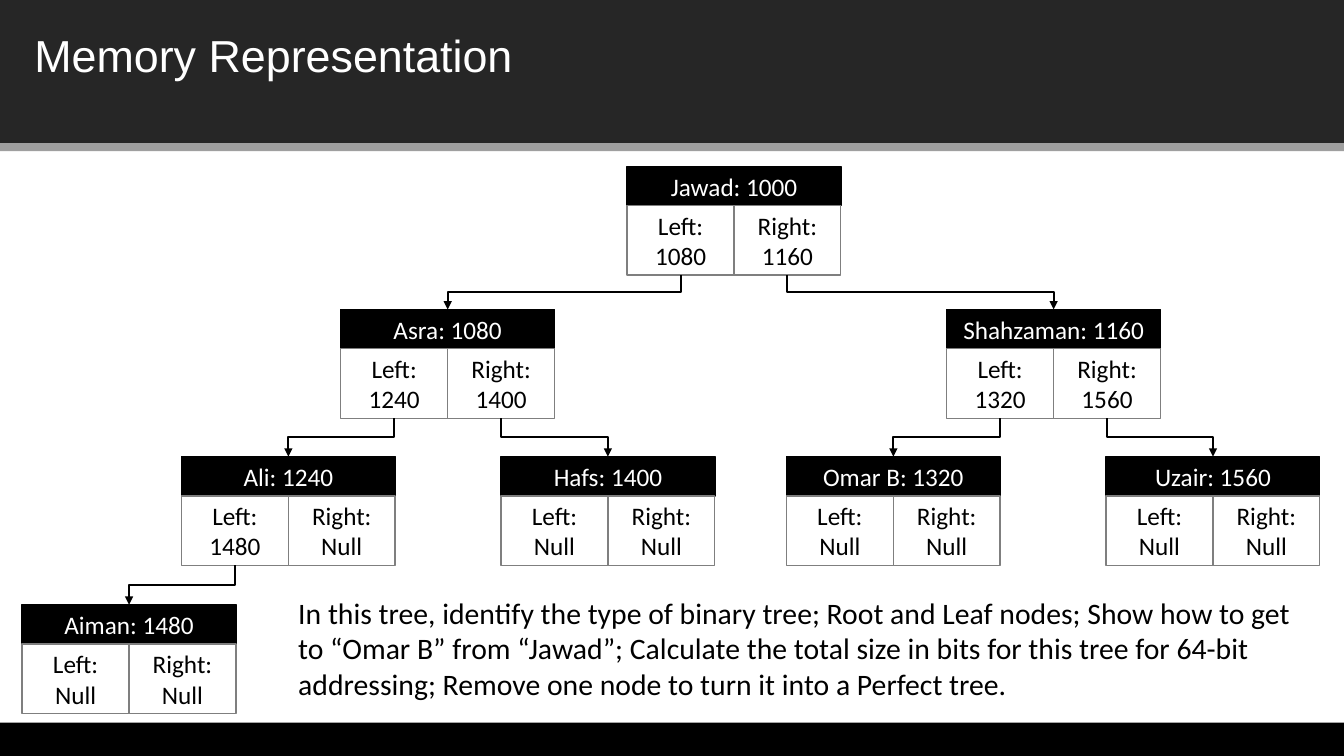
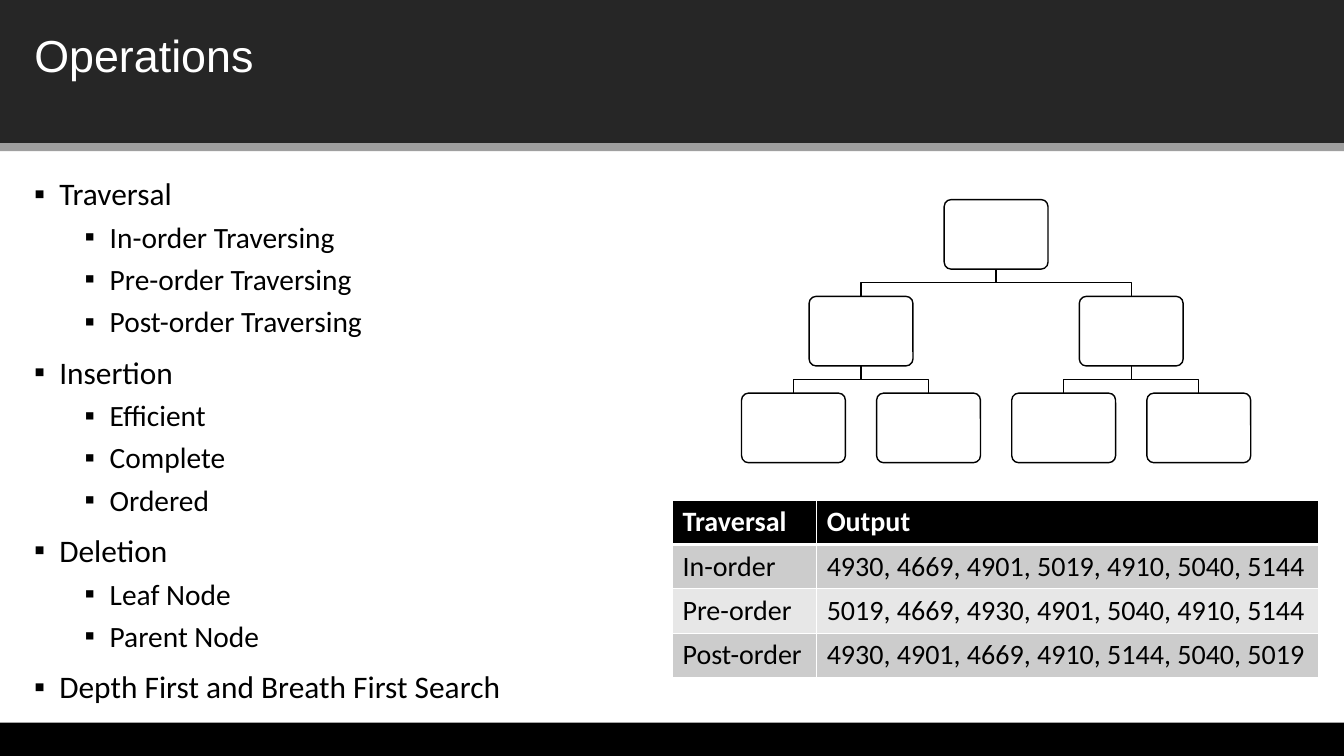
from lxml import etree
from pptx import Presentation
from pptx.dml.color import RGBColor
from pptx.enum.shapes import MSO_CONNECTOR, MSO_SHAPE
from pptx.enum.text import MSO_ANCHOR, MSO_AUTO_SIZE, PP_ALIGN
from pptx.oxml.ns import qn
from pptx.util import Inches, Pt

RECT, ROUND = MSO_SHAPE.RECTANGLE, MSO_SHAPE.ROUNDED_RECTANGLE
ELBOW = MSO_CONNECTOR.ELBOW
TOP, MIDDLE = MSO_ANCHOR.TOP, MSO_ANCHOR.MIDDLE
LEFT, CENTER = PP_ALIGN.LEFT, PP_ALIGN.CENTER
FIXED = MSO_AUTO_SIZE.NONE

BLACK, WHITE = "000000", "FFFFFF"
DARK, GRAY, EDGE = "262626", "9F9F9F", "7F7F7F"
ODD, EVEN = "CCCCCC", "E7E7E7"
HEAD, BODY = "Arial", "Calibri"
WIDE, HIGH = 13.33, 7.5
BANDS = [(0, 1.42, DARK), (1.42, 0.08, GRAY), (7.17, 0.33, BLACK)]

CELL_W, CELL_H, NAME_H = 1.06, 0.69, 0.39
LEVELS = [1.65, 3.07, 4.53, 6]
NODES = {
    1000: ("Jawad", 6.22, 0, 1080, 1160),
    1080: ("Asra", 3.38, 1, 1240, 1400),
    1160: ("Shahzaman", 9.39, 1, 1320, 1560),
    1240: ("Ali", 1.8, 2, 1480, None),
    1400: ("Hafs", 4.97, 2, None, None),
    1320: ("Omar B", 7.8, 2, None, None),
    1560: ("Uzair", 10.97, 2, None, None),
    1480: ("Aiman", 0.22, 3, None, None),
}
TASK = (
    "In this tree, identify the type of binary tree; Root and Leaf nodes; "
    "Show how to get to “Omar B” from “Jawad”; Calculate the total size in "
    "bits for this tree for 64-bit addressing; Remove one node to turn it "
    "into a Perfect tree."
)
TOPICS = [
    ("Traversal", ["In-order Traversing", "Pre-order Traversing",
                   "Post-order Traversing"]),
    ("Insertion", ["Efficient", "Complete", "Ordered"]),
    ("Deletion", ["Leaf Node", "Parent Node"]),
    ("Depth First and Breath First Search", []),
]
ROWS = [
    ("Traversal", "Output"),
    ("In-order", "4930, 4669, 4901, 5019, 4910, 5040, 5144"),
    ("Pre-order", "5019, 4669, 4930, 4901, 5040, 4910, 5144"),
    ("Post-order", "4930, 4901, 4669, 4910, 5144, 5040, 5019"),
]


def paint(target, color):
    """Give a fill or a line one solid colour."""
    target.solid()
    target.fore_color.rgb = RGBColor.from_string(color)


def write(para, text, size=18, color=BLACK, font=BODY, bold=False, align=LEFT):
    """Put formatted text into a paragraph."""
    run = para.add_run()
    run.text = text
    para.alignment = align
    run.font.size, run.font.name, run.font.bold = Pt(size), font, bold
    run.font.color.rgb = RGBColor.from_string(color)


def frame(shape, anchor):
    """Make a shape's text wrap in a fixed box and return its frame."""
    body = shape.text_frame
    body.word_wrap, body.auto_size = True, FIXED
    body.vertical_anchor = anchor
    return body


def note(slide, left, top, width, height):
    """Add an empty text box and return its frame."""
    box = slide.shapes.add_textbox(
        Inches(left), Inches(top), Inches(width), Inches(height))
    return frame(box, TOP)


def box(slide, left, top, width, height, fill, edge=None, kind=RECT):
    """Add a plain filled shape."""
    shape = slide.shapes.add_shape(
        kind, Inches(left), Inches(top), Inches(width), Inches(height))
    shape.shadow.inherit = False
    paint(shape.fill, fill)
    if edge:
        paint(shape.line.fill, edge)
        shape.line.width = Pt(1)
    else:
        shape.line.fill.background()
    return shape


def label(slide, text, left, top, width, height, fill, edge, color):
    """Add a box with centred text."""
    shape = box(slide, left, top, width, height, fill, edge)
    write(frame(shape, MIDDLE).paragraphs[0], text, color=color, align=CENTER)
    return shape


def link(slide, start, end, width, arrow=False):
    """Run an elbow line from the bottom of one shape to the top of another."""
    x1, y1 = start.left + start.width // 2, start.top + start.height
    x2, y2 = end.left + end.width // 2, end.top
    line = slide.shapes.add_connector(ELBOW, x1, y1, x2, y2)
    line.begin_connect(start, 2)
    line.end_connect(end, 0)
    line.width, line.height = y2 - y1, abs(x2 - x1)
    line.left = (x1 + x2 - line.width) // 2
    line.top = (y1 + y2 - line.height) // 2
    right = x2 > x1
    xfrm = line.element.spPr.find(qn("a:xfrm"))
    xfrm.set("rot", "16200000" if right else "5400000")
    xfrm.set("flipH", "1" if right else "0")
    xfrm.set("flipV", "0")
    paint(line.line.fill, BLACK)
    line.line.width = Pt(width)
    if arrow:
        stroke = line.element.spPr.find(qn("a:ln"))
        etree.SubElement(stroke, qn("a:tailEnd"), type="triangle")
    etree.SubElement(line.element.spPr, qn("a:effectLst"))


def start(deck, text):
    """Add a slide with its bands and title."""
    slide = deck.slides.add_slide(deck.slide_layouts[5])
    title = slide.shapes.title
    title.left, title.top = Inches(0.24), Inches(0.22)
    title.width, title.height = Inches(12.84), Inches(0.64)
    write(frame(title, MIDDLE).paragraphs[0], text, size=32, color=WHITE,
          font=HEAD)
    for top, height, color in BANDS:
        band = box(slide, 0, top, WIDE, height, color)
        title.element.addprevious(band.element)
    return slide


def node(slide, key):
    """Draw one record and return its name box and its two cells."""
    name, left, level, *kids = NODES[key]
    top = LEVELS[level]
    head = label(slide, f"{name}: {key}", left, top, 2 * CELL_W, NAME_H,
                 BLACK, BLACK, WHITE)
    cells = [
        label(slide, f"{side}: {kid or 'Null'}", left + i * CELL_W,
              top + NAME_H, CELL_W, CELL_H, WHITE, EDGE, BLACK)
        for i, (side, kid) in enumerate(zip(("Left", "Right"), kids))
    ]
    return head, cells


def records(slide):
    """Draw all records and the arrows between them."""
    drawn = {key: node(slide, key) for key in NODES}
    for key, (_, cells) in drawn.items():
        for cell, kid in zip(cells, NODES[key][3:]):
            if kid:
                link(slide, cell, drawn[kid][0], 1.5, arrow=True)


def tree(slide):
    """Draw a perfect tree of empty boxes."""
    width, height, mid = 1.03, 0.69, 9.88
    above = []
    for level in range(3):
        count = 2 ** level
        gap = 5.36 / count
        row = []
        for i in range(count):
            left = mid + gap * (i - (count - 1) / 2) - width / 2
            shape = box(slide, left, 1.98 + 0.96 * level, width, height,
                        WHITE, BLACK, ROUND)
            shape.adjustments[0] = 0.1
            row.append(shape)
            if above:
                link(slide, above[i // 2], shape, 1)
        above = row


def bullet(para, text, level):
    """Write one bulleted line."""
    props = para._p.get_or_add_pPr()
    props.set("marL", str(Inches(0.25 + 0.5 * level)))
    props.set("indent", str(Inches(-0.25)))
    etree.SubElement(props, qn("a:buFont"), typeface=HEAD)
    etree.SubElement(props, qn("a:buChar"), char="▪")
    para.level = level
    write(para, text, size=21 if level else 22.4)


def topics(slide):
    """List the topics with their parts."""
    body = note(slide, 0.24, 1.68, 6.43, 5.41)
    lines = [(text, level) for topic, parts in TOPICS
             for text, level in [(topic, 0)] + [(part, 1) for part in parts]]
    for i, (text, level) in enumerate(lines):
        para = body.add_paragraph() if i else body.paragraphs[0]
        if i:
            para.space_before = Pt(5 if level else 10)
        bullet(para, text, level)


def border(cell, side, width):
    """Draw one white cell edge."""
    edge = etree.SubElement(cell._tc.get_or_add_tcPr(), qn("a:ln" + side),
                            w=str(Pt(width)))
    fill = etree.SubElement(edge, qn("a:solidFill"))
    etree.SubElement(fill, qn("a:srgbClr"), val=WHITE)


def grid(slide):
    """Add the table of traversal outputs."""
    table = slide.shapes.add_table(
        len(ROWS), 2, Inches(6.67), Inches(4.96), Inches(6.41),
        Inches(1.72)).table
    for col, width in zip(table.columns, (1.43, 4.98)):
        col.width = Inches(width)
    for r, row in enumerate(ROWS):
        head = r == 0
        for c, text in enumerate(row):
            cell = table.cell(r, c)
            for side in "LRTB":
                thick = (head and side == "B") or (r == 1 and side == "T")
                border(cell, side, 3 if thick else 1)
            paint(cell.fill, BLACK if head else ODD if r % 2 else EVEN)
            write(cell.text_frame.paragraphs[0], text, size=20, bold=head,
                  color=WHITE if head else BLACK)


def main():
    """Build and save the slides."""
    deck = Presentation()
    deck.slide_width, deck.slide_height = Inches(WIDE), Inches(HIGH)

    memory = start(deck, "Memory Representation")
    records(memory)
    write(note(memory, 2.86, 5.85, 10.26, 1.23).paragraphs[0], TASK, size=21.2)

    actions = start(deck, "Operations")
    topics(actions)
    tree(actions)
    grid(actions)
    deck.save("out.pptx")


if __name__ == "__main__":
    main()
